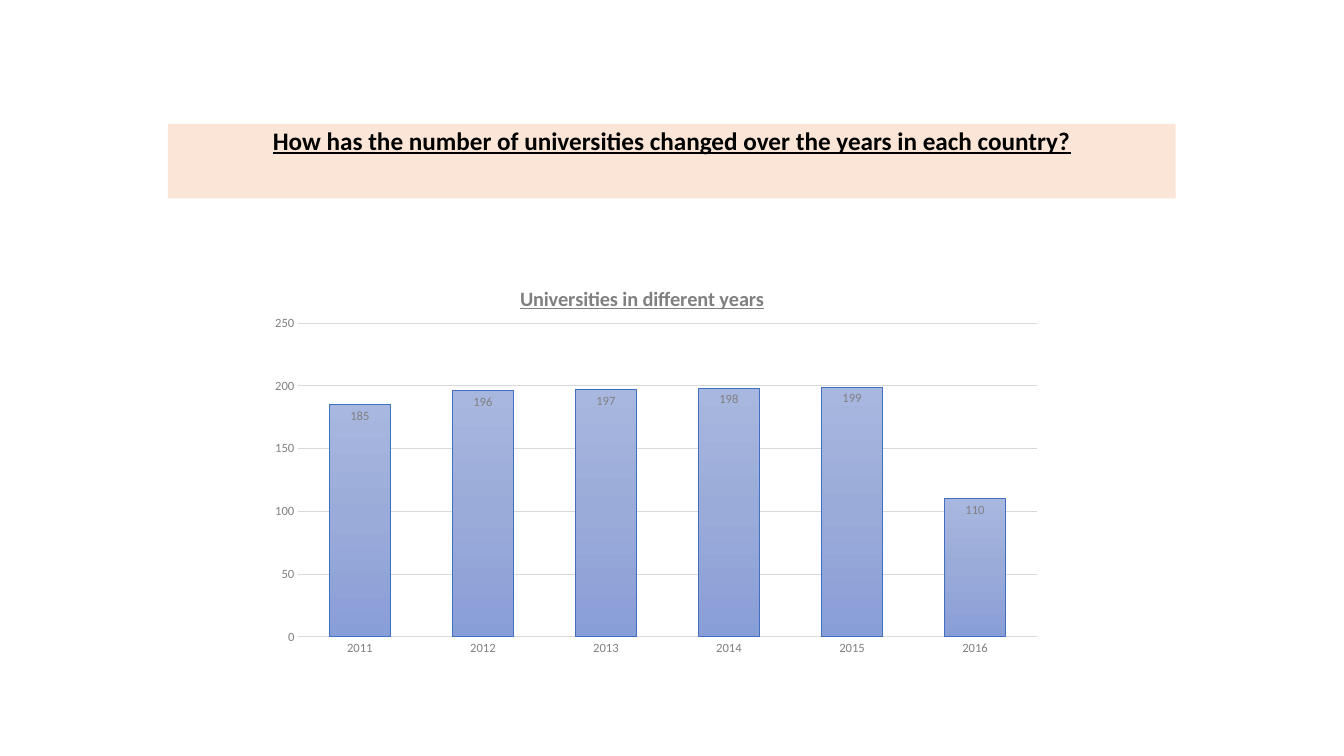
import copy
import lxml.etree
import pptx
import pptx.chart.data
import pptx.dml.color
import pptx.enum.chart
import pptx.enum.shapes
import pptx.enum.text
import pptx.oxml.ns
import pptx.util

Cm = pptx.util.Cm
Pt = pptx.util.Pt
qn = pptx.oxml.ns.qn
enum = pptx.enum.chart

HUES = {
    "band": "FBE5D6", "ink": "000000", "gray": "808080", "grid": "D9D9D9",
    "edge": "436FC0", "top": "A8B7DF", "mid": "9AABD9", "base": "889ED7",
}
YEARS = ["2011", "2012", "2013", "2014", "2015", "2016"]
COUNTS = [185, 196, 197, 198, 199, 110]
HEAD = {"size": Pt(18), "bold": True, "underline": True}
TITLE = {"size": Pt(14.5), "bold": True, "underline": True}
SMALL = {"size": Pt(9), "bold": False}


def hue(name):
    return pptx.dml.color.RGBColor.from_string(HUES[name])


def apply(item, form):
    for key, value in form.items():
        setattr(item, key, value)


def style(font, form, name):
    apply(font, {"name": "Calibri", **form})
    font.color.rgb = hue(name)


def stroke(line, name):
    line.color.rgb = hue(name)
    line.width = Pt(0.75)


def place(node, index, spots):
    for old in node.findall(qn("c:layout")):
        node.remove(old)
    layout = lxml.etree.Element(qn("c:layout"))
    manual = lxml.etree.SubElement(layout, qn("c:manualLayout"))
    for tag, value in spots.items():
        lxml.etree.SubElement(manual, qn("c:" + tag)).set("val", str(value))
    node.insert(index, layout)


def banner(slide, box):
    band = slide.shapes.add_shape(pptx.enum.shapes.MSO_SHAPE.RECTANGLE, *box)
    band.shadow.inherit = False
    band.fill.solid()
    band.fill.fore_color.rgb = hue("band")
    band.line.fill.background()
    frame = band.text_frame
    frame.word_wrap = True
    frame.vertical_anchor = pptx.enum.text.MSO_ANCHOR.TOP
    para = frame.paragraphs[0]
    apply(para, {"alignment": pptx.enum.text.PP_ALIGN.CENTER, "line_spacing": 0.9})
    run = para.add_run()
    run.text = "How has the number of universities changed over the years in each country?"
    style(run.font, HEAD, "ink")


def shade(series):
    fill = series.format.fill
    fill.gradient()
    fill.gradient_angle = 270
    stops = series._element.find(".//" + qn("a:gsLst"))
    stops.insert(1, copy.deepcopy(stops[0]))
    for stop, spot, name in zip(fill.gradient_stops, (0, 0.5, 1), ("top", "mid", "base")):
        stop.position = spot
        stop.color.rgb = hue(name)
    stroke(series.format.line, "edge")


def heading(chart):
    chart.has_title = True
    title = chart.chart_title
    title.include_in_layout = False
    run = title.text_frame.paragraphs[0].add_run()
    run.text = "Universities in different years"
    style(run.font, TITLE, "gray")
    place(title._element, 1, {"xMode": "edge", "yMode": "edge", "x": 0.355, "y": 0.045})


def axes(chart):
    for axis in (chart.category_axis, chart.value_axis):
        apply(axis, {
            "major_tick_mark": enum.XL_TICK_MARK.NONE,
            "minor_tick_mark": enum.XL_TICK_MARK.NONE,
        })
        style(axis.tick_labels.font, SMALL, "gray")
    stroke(chart.category_axis.format.line, "grid")
    scale = chart.value_axis
    apply(scale, {"minimum_scale": 0, "maximum_scale": 250, "major_unit": 50})
    scale.format.line.fill.background()
    stroke(scale.major_gridlines.format.line, "grid")


def columns(slide, box):
    data = pptx.chart.data.CategoryChartData()
    data.categories = YEARS
    data.add_series("Series 1", COUNTS)
    kind = enum.XL_CHART_TYPE.COLUMN_CLUSTERED
    chart = slide.shapes.add_chart(kind, *box, data).chart
    chart.has_legend = False
    style(chart.font, {"size": Pt(10)}, "ink")
    heading(chart)
    axes(chart)
    plot = chart.plots[0]
    apply(plot, {
        "gap_width": 100, "overlap": -24,
        "vary_by_categories": False, "has_data_labels": True,
    })
    labels = plot.data_labels
    apply(labels, {"show_value": True, "position": enum.XL_LABEL_POSITION.INSIDE_END})
    style(labels.font, SMALL, "gray")
    shade(plot.series[0])
    area = chart._chartSpace.find(".//" + qn("c:plotArea"))
    place(area, 0, {
        "layoutTarget": "inner", "xMode": "edge", "yMode": "edge",
        "x": 0.106, "y": 0.148, "w": 0.843, "h": 0.772,
    })


def main():
    deck = pptx.Presentation()
    apply(deck, {"slide_width": Cm(33.87), "slide_height": Cm(19.05)})
    slide = deck.slides.add_slide(deck.slide_layouts[6])
    banner(slide, (Cm(4.23), Cm(3.12), Cm(25.4), Cm(1.88)))
    columns(slide, (Cm(5.18), Cm(6.63), Cm(22.07), Cm(10.24)))
    deck.save("out.pptx")


if __name__ == "__main__":
    main()
